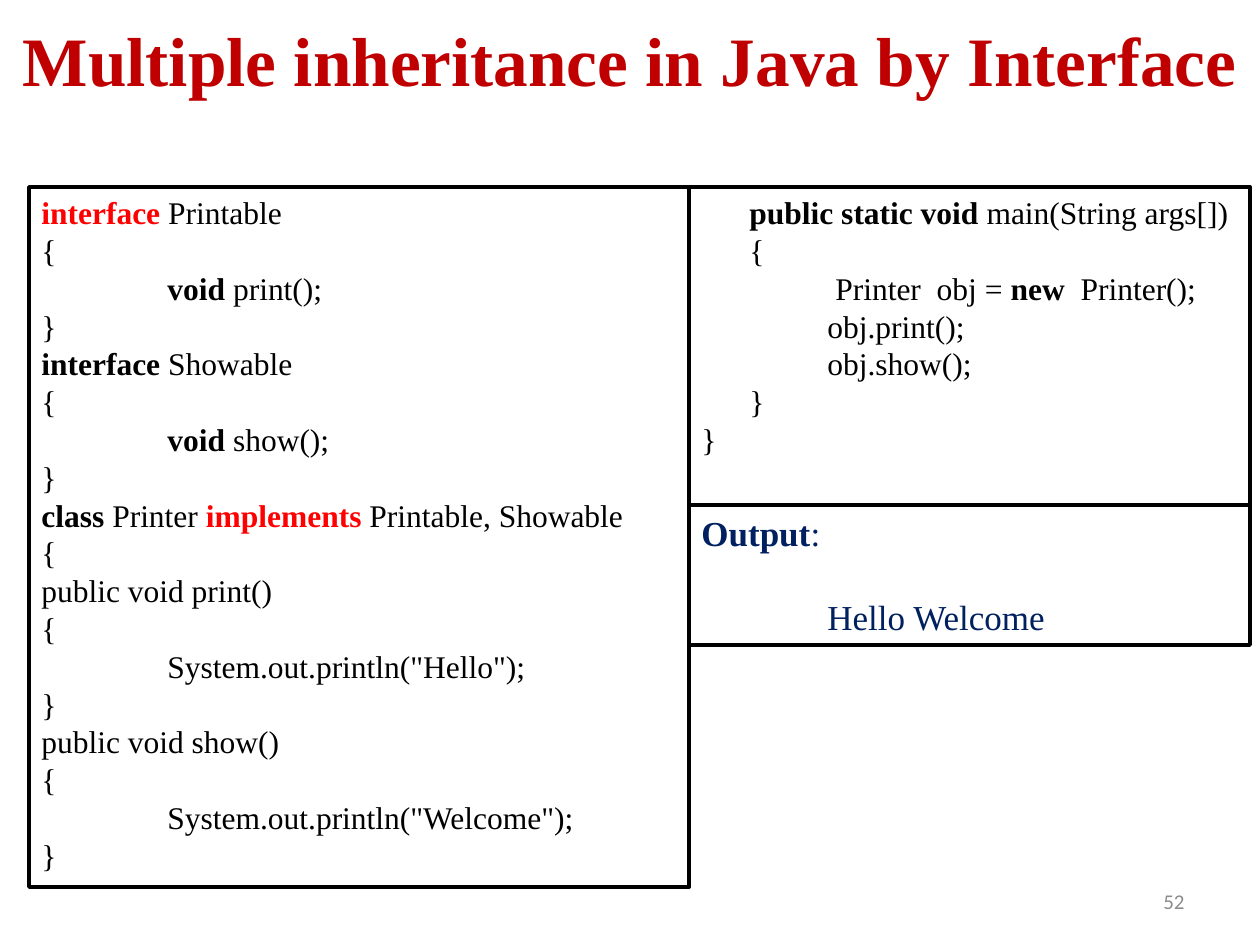
from pptx import Presentation, util as u
from pptx.dml import color
from pptx.enum import shapes, text

RED, BLACK, NAVY = "FF0000", "000000", "002060"
BOLD = {"bold": True}
ALERT = {"bold": True, "color": RED}
TAB, STEP = 126, 48


def px(length):
    return u.Emu(length * 914400 // 126)


def rgb(value):
    return color.RGBColor.from_string(value)


class Deck:
    font = "Times New Roman"

    def __init__(self):
        self.deck = Presentation()
        self.deck.slide_width, self.deck.slide_height = px(1260), px(945)
        self.page = self.deck.slides.add_slide(self.deck.slide_layouts[5])

    def add_spans(self, para, spans, **base):
        for content, *extra in spans:
            span = para.add_run()
            span.text = content
            style = {"name": self.font, "bold": False, **base}
            for part in extra:
                style.update(part)
            span.font.color.rgb = rgb(style.pop("color"))
            for key, value in style.items():
                setattr(span.font, key, value)

    def frame(self, box, **style):
        box.text_frame.word_wrap = True
        for key, value in style.items():
            setattr(box.text_frame, key, value)
        return box.text_frame.paragraphs[0]

    def title(self, content, area, size, shade):
        box = self.page.shapes.title
        for key, value in zip(("left", "top", "width", "height"), area):
            setattr(box, key, px(value))
        para = self.frame(box, vertical_anchor=text.MSO_ANCHOR.MIDDLE)
        para.alignment = text.PP_ALIGN.CENTER
        self.add_spans(para, [(content, BOLD)], size=u.Pt(size), color=shade)

    def label(self, content, area, size, shade):
        box = self.page.shapes.add_textbox(*map(px, area))
        para = self.frame(box, vertical_anchor=text.MSO_ANCHOR.MIDDLE)
        para.alignment = text.PP_ALIGN.RIGHT
        self.add_spans(para, [(content,)], size=u.Pt(size), color=shade, name="Calibri")

    def panel(self, area, lines, size=18, shade=BLACK, gap=0, anchor=text.MSO_ANCHOR.TOP):
        box = self.page.shapes.add_shape(shapes.MSO_SHAPE.RECTANGLE, *map(px, area))
        box.shadow.inherit = False
        box.fill.background()
        box.line.color.rgb = rgb(BLACK)
        box.line.width = u.Pt(2.25)
        self.frame(box, vertical_anchor=anchor)
        for index, (indent, *spans) in enumerate(lines):
            para = box.text_frame.add_paragraph() if index else box.text_frame.paragraphs[0]
            para.alignment = text.PP_ALIGN.LEFT
            para.space_before = u.Pt(gap if index else 0)
            para._p.get_or_add_pPr().set("marL", str(px(indent)))
            self.add_spans(para, spans, size=u.Pt(size), color=shade)


def block(head, body, indent=0):
    return [(indent, *head), (indent, ("{",)), *body, (indent, ("}",))]


def declare(name, method, style):
    return block([("interface", style), (f" {name}",)],
                 [(TAB, ("void", BOLD), (f" {method}();",))])


def define(method, message):
    return block([(f"public void {method}()",)],
                 [(TAB, (f'System.out.println("{message}");',))])


slide = Deck()
slide.title("Multiple inheritance in Java by Interface", (0, -20, 1260, 158), 39.6, "C00000")
slide.label("52", (903, 876, 294, 50), 12, "8C8C8C")
slide.panel((29, 187, 660, 700), [
    *declare("Printable", "print", ALERT),
    *declare("Showable", "show", BOLD),
    (0, ("class", BOLD), (" Printer ",), ("implements", ALERT), (" Printable, Showable",)),
    (0, ("{",)),
    *define("print", "Hello"),
    *define("show", "Welcome"),
])
slide.panel((689, 505, 561, 140), [
    (0, ("Output", BOLD), (":",)),
    (TAB, ("Hello Welcome",)),
], size=20, shade=NAVY, gap=24, anchor=text.MSO_ANCHOR.MIDDLE)
slide.panel((689, 187, 561, 318), [
    *block([("public static void", BOLD), (" main(String args[])",)], [
        (TAB + 8, ("Printer  obj = ",), ("new", BOLD), ("  Printer();",)),
        (TAB, ("obj.print();",)),
        (TAB, ("obj.show();",)),
    ], indent=STEP),
    (0, ("}",)),
])
slide.deck.save("out.pptx")
